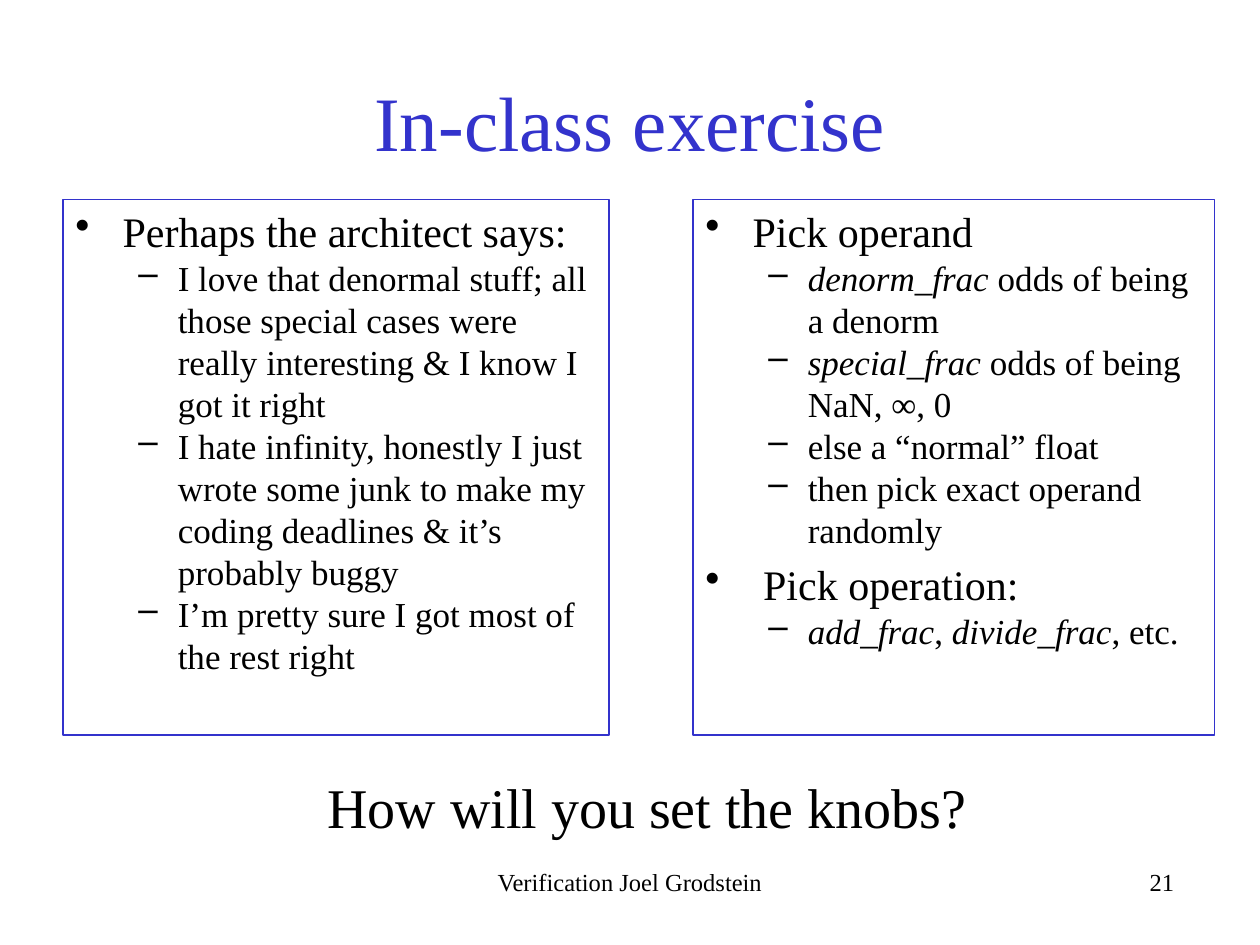
from pptx import Presentation
from pptx.dml.color import RGBColor as RGB
from pptx.enum.shapes import MSO_SHAPE as Shape
from pptx.enum.text import MSO_ANCHOR as Anchor, PP_ALIGN as Align
from pptx.oxml.ns import qn
from pptx.util import Pt
from lxml import etree

BLUE = RGB(0x33, 0x33, 0xCC)
BLACK = RGB(0, 0, 0)
WHITE = RGB(0xFF, 0xFF, 0xFF)

# Per level: bullet, text size, left margin, hanging indent, space before
LEVELS = [("•", 24, 27, 27, 4.8), ("–", 20, 58.5, 22.5, 0)]

# Each item: level, then runs; a run is (text, italic)
SAYS = [
    (0, [("Perhaps the architect says:", False)]),
    (1, [("I love that denormal stuff; all those special cases were "
          "really interesting & I know I got it right", False)]),
    (1, [("I hate infinity, honestly I just wrote some junk to make my "
          "coding deadlines & it’s probably buggy", False)]),
    (1, [("I’m pretty sure I got most of the rest right", False)]),
]
PICKS = [
    (0, [("Pick operand", False)]),
    (1, [("denorm_frac ", True), ("odds of being a denorm", False)]),
    (1, [("special_frac ", True), ("odds of being NaN, ∞, 0", False)]),
    (1, [("else a “normal” float", False)]),
    (1, [("then pick exact operand randomly", False)]),
    (0, [(" Pick operation:", False)]),
    (1, [("add_frac", True), (", ", False),
         ("divide_frac", True), (", etc.", False)]),
]


class Deck:
    """Holds the style and the current slide."""

    font = "Times New Roman"

    def __init__(self, wide, high):
        """Start a deck with one title-only slide."""
        self.prs = Presentation()
        self.prs.slide_width, self.prs.slide_height = Pt(wide), Pt(high)
        self.slide = self.prs.slides.add_slide(self.prs.slide_layouts[5])
        fill = self.slide.background.fill
        fill.solid()
        fill.fore_color.rgb = WHITE

    def run(self, para, text, size, color=BLACK, italic=False):
        """Add one styled run."""
        run = para.add_run()
        run.text = text
        font = run.font
        font.name, font.size, font.italic = self.font, Pt(size), italic
        font.color.rgb = color

    def title(self, text, x, y, w, h):
        """Place and fill the title."""
        box = self.slide.shapes.title
        box.left, box.top, box.width, box.height = map(Pt, (x, y, w, h))
        frame = box.text_frame
        frame.vertical_anchor = Anchor.MIDDLE
        para = frame.paragraphs[0]
        para.alignment = Align.CENTER
        self.run(para, text, 44, BLUE)

    def text(self, text, x, y, w, h, size, align=Align.LEFT):
        """Add a one-line text box."""
        box = self.slide.shapes.add_textbox(*map(Pt, (x, y, w, h)))
        frame = box.text_frame
        frame.word_wrap = True
        para = frame.paragraphs[0]
        para.alignment = align
        self.run(para, text, size)

    def panel(self, items, x, y, w, h):
        """Add an outlined box with a two-level list."""
        box = self.slide.shapes.add_shape(
            Shape.RECTANGLE, *map(Pt, (x, y, w, h)))
        box.shadow.inherit = False
        box.fill.background()
        box.line.color.rgb = BLUE
        box.line.width = Pt(0.75)
        frame = box.text_frame
        frame.word_wrap = True
        frame.vertical_anchor = Anchor.TOP
        for i, (level, runs) in enumerate(items):
            para = frame.add_paragraph() if i else frame.paragraphs[0]
            size = self.bullet(para, level)
            for text, italic in runs:
                self.run(para, text, size, italic=italic)

    def bullet(self, para, level):
        """Set the list style of a paragraph and return its text size."""
        mark, size, left, hang, gap = LEVELS[level]
        para.level, para.alignment = level, Align.LEFT
        para.space_before = Pt(gap)
        props = para._p.get_or_add_pPr()
        props.set("marL", str(Pt(left)))
        props.set("indent", str(-Pt(hang)))
        etree.SubElement(props, qn("a:buChar")).set("char", mark)
        return size


deck = Deck(720, 540)
deck.title("In-class exercise", 54, 24, 612, 90)
deck.panel(SAYS, 36, 114, 312, 306)
deck.panel(PICKS, 396, 114, 298, 306)
deck.text("How will you set the knobs?", 180, 438, 396, 46, 32)
deck.text("Verification Joel Grodstein", 246, 492, 228, 36, 14, Align.CENTER)
deck.text("21", 450, 492, 228, 36, 14, Align.RIGHT)
deck.prs.save("out.pptx")
